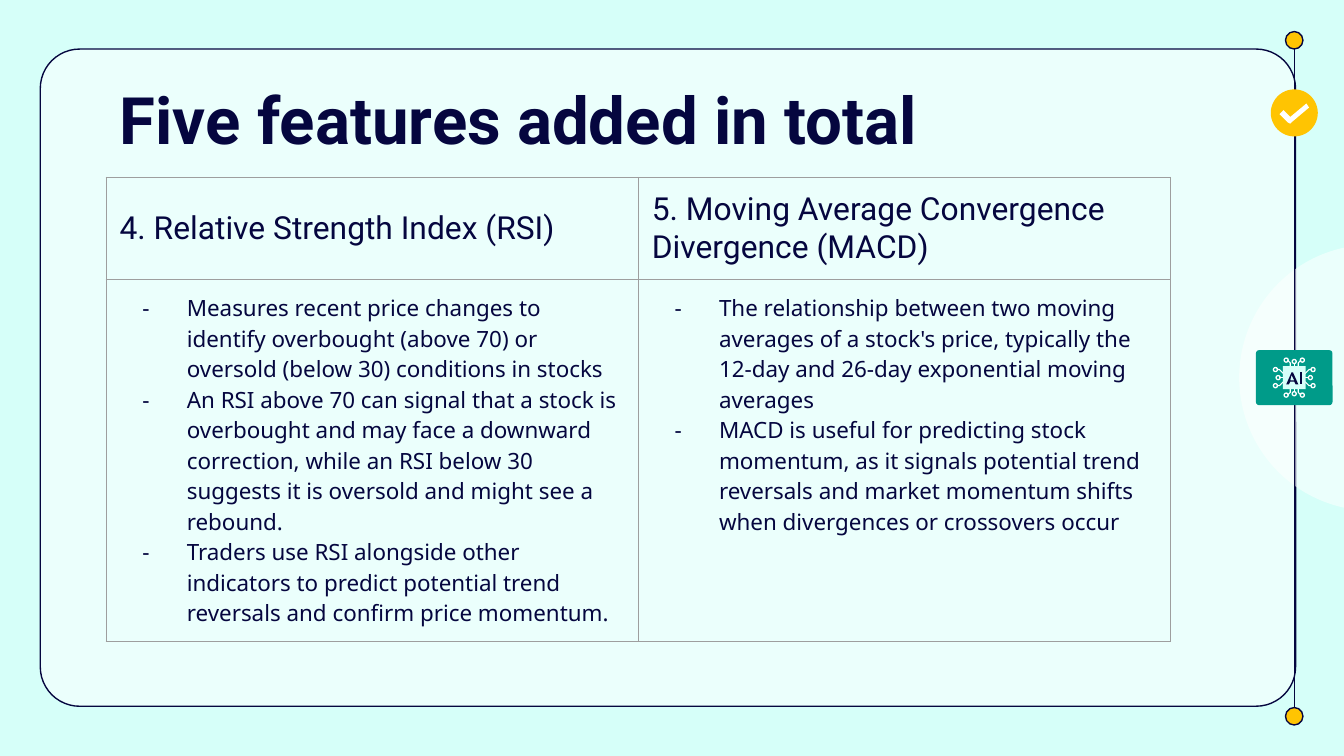
"""Build the slide on the RSI and MACD features."""
from itertools import product

from pptx import Presentation
from pptx.dml.color import RGBColor
from pptx.enum import shapes, text
from pptx.oxml import ns, xmlchemy
from pptx.util import Inches, Pt

NAVY = RGBColor(0x05, 0x06, 0x3F)
MINT = RGBColor(0xD6, 0xFF, 0xF9)
TEAL = RGBColor(0x00, 0x9B, 0x89)
GOLD = RGBColor(0xFF, 0xC4, 0x02)
GREY = RGBColor(0x9E, 0x9E, 0x9E)
WHITE = RGBColor(0xFF, 0xFF, 0xFF)

TITLE = "Five features added in total"
FEATURES = [
    ("4. Relative Strength Index (RSI)", [
        "Measures recent price changes to identify overbought (above 70) or "
        "oversold (below 30) conditions in stocks",
        "An RSI above 70 can signal that a stock is overbought and may face a "
        "downward correction, while an RSI below 30 suggests it is oversold "
        "and might see a rebound.",
        "Traders use RSI alongside other indicators to predict potential trend "
        "reversals and confirm price momentum.",
    ]),
    ("5. Moving Average Convergence Divergence (MACD)", [
        "The relationship between two moving averages of a stock's price, "
        "typically the 12-day and 26-day exponential moving averages",
        "MACD is useful for predicting stock momentum, as it signals potential "
        "trend reversals and market momentum shifts when divergences or "
        "crossovers occur",
    ]),
]
COL_W, ROW_HEIGHTS = 3.96, (0.76, 2.69)
RAIL_X, CHIP_Y = 9.63, 2.81
KNOBS = (0.3, 5.33)
CHECK = [(9.6, 0.92), (9.58, 0.91), (9.52, 0.85), (9.55, 0.82), (9.6, 0.87),
         (9.72, 0.77), (9.74, 0.8), (9.61, 0.91)]
LETTER_A = [(9.63, 2.84), (9.6, 2.84), (9.59, 2.86), (9.57, 2.86),
            (9.61, 2.77), (9.62, 2.77), (9.66, 2.86), (9.64, 2.86)]
A_HOLE = [(9.6, 2.83), (9.63, 2.83), (9.61, 2.79)]
LETTER_I = [(9.67, 2.77), (9.69, 2.77), (9.69, 2.86), (9.67, 2.86)]
NODES = [(0, 0.12), (0.06, 0.13), (0.12, 0), (0.14, 0.06)]
TRACES = [
    [(0, 0.11), (0, 0.08)],
    [(0.05, 0.13), (0.03, 0.11), (0.03, 0.08)],
    [(0.11, 0), (0.08, 0)],
    [(0.13, 0.06), (0.11, 0.06), (0.08, 0.03)],
]

prs = Presentation()
prs.slide_width, prs.slide_height = Inches(10), Inches(10 * 9 / 16)
s = prs.slides.add_slide(prs.slide_layouts[5])
s.background.fill.solid()
s.background.fill.fore_color.rgb = MINT


def child(parent, tag, **attrs):
    el = xmlchemy.OxmlElement(tag)
    for name, value in attrs.items():
        el.set(name, str(value))
    parent.append(el)
    return el


def paint(sp, fill=None, line=None, width=0.75, alpha=None):
    sp.shadow.inherit = False
    if fill is None:
        sp.fill.background()
    else:
        sp.fill.solid()
        sp.fill.fore_color.rgb = fill
    if alpha:
        clr = sp.element.spPr.find(ns.qn("a:solidFill"))[0]
        child(clr, "a:alpha", val=alpha * 1000)
    if line is None:
        sp.line.fill.background()
    else:
        sp.line.color.rgb = line
        sp.line.width = Pt(width)
    return sp


def centred(kind, x, y, w, h, **look):
    sp = s.shapes.add_shape(kind, Inches(x - w / 2), Inches(y - h / 2), Inches(w), Inches(h))
    return paint(sp, **look)


def outline(*contours, close=True, **look):
    scaled = [[(Inches(x), Inches(y)) for x, y in c] for c in contours]
    fb = s.shapes.build_freeform(*scaled[0][0])
    fb.add_line_segments(scaled[0][1:], close=close)
    for c in scaled[1:]:
        fb.move_to(*c[0])
        fb.add_line_segments(c[1:], close=close)
    return paint(fb.convert_to_shape(), **look)


def write(p, content, size, font, bold=False, bullet=None):
    p.alignment = text.PP_ALIGN.LEFT
    r = p.add_run()
    r.text = content
    r.font.size, r.font.name, r.font.bold = Pt(size), font, bold
    r.font.color.rgb = NAVY
    if bullet:
        pPr = p._p.get_or_add_pPr()
        pPr.set("marL", str(Inches(0.5)))
        pPr.set("indent", str(Inches(-0.33)))
        child(child(pPr, "a:buClr"), "a:srgbClr", val=NAVY)
        child(pPr, "a:buFont", typeface=font)
        child(pPr, "a:buChar", char=bullet)


def set_margins(box):
    box.margin_left = box.margin_right = box.margin_top = box.margin_bottom = Inches(0.1)


def format_cell(cell, anchor):
    set_margins(cell)
    cell.vertical_anchor = anchor
    tcPr = cell._tc.get_or_add_tcPr()
    for side in "LRTB":
        ln = child(tcPr, f"a:ln{side}", w=Pt(0.75))
        child(child(ln, "a:solidFill"), "a:srgbClr", val=GREY)
    cell.fill.background()


shape = shapes.MSO_SHAPE
panel = centred(shape.ROUNDED_RECTANGLE, 4.97, 2.81, 9.34, 4.89, fill=WHITE, line=NAVY, alpha=53)
panel.adjustments[0] = 0.06
centred(shape.OVAL, 10.21, 2.81, 1.98, 1.98, fill=WHITE, alpha=53)
for y in KNOBS:
    centred(shape.OVAL, RAIL_X, y, 0.13, 0.13, fill=GOLD, line=NAVY)
rail = s.shapes.add_connector(shapes.MSO_CONNECTOR.STRAIGHT, Inches(RAIL_X), Inches(0.36),
                              Inches(RAIL_X), Inches(5.27))
rail.line.color.rgb = NAVY
rail.line.width = Pt(0.75)
child(rail.element.spPr, "a:effectLst")

card = centred(shape.ROUNDED_RECTANGLE, RAIL_X, CHIP_Y, 0.57, 0.41, fill=TEAL)
card.adjustments[0] = 0.06
for (x, y), trace in zip(NODES, TRACES):
    for sx, sy in product((1, -1) if x else (1,), (1, -1) if y else (1,)):
        ring = centred(shape.DONUT, RAIL_X + sx * x, CHIP_Y + sy * y, 0.04, 0.04, fill=WHITE)
        ring.adjustments[0] = 0.25
        outline([(RAIL_X + sx * a, CHIP_Y + sy * b) for a, b in trace],
                close=False, line=WHITE, width=0.6)
centred(shape.RECTANGLE, RAIL_X, CHIP_Y, 0.17, 0.17, fill=MINT)
outline(LETTER_A, A_HOLE, fill=NAVY)
outline(LETTER_I, fill=NAVY)
centred(shape.OVAL, RAIL_X, 0.84, 0.35, 0.35, fill=GOLD)
outline(CHECK, fill=WHITE)

title = s.shapes.title
title.element.getparent().append(title.element)
title.left, title.top, title.width, title.height = map(Inches, (0.79, 0.49, 8.43, 0.63))
tf = title.text_frame
set_margins(tf)
tf.word_wrap = True
tf.auto_size = text.MSO_AUTO_SIZE.NONE
tf.vertical_anchor = text.MSO_ANCHOR.TOP
write(tf.paragraphs[0], TITLE, size=35, font="Roboto", bold=True)

table = s.shapes.add_table(2, len(FEATURES), Inches(0.79), Inches(1.32),
                           Inches(COL_W * len(FEATURES)), Inches(sum(ROW_HEIGHTS))).table
table.first_row = table.horz_banding = False
for row, height in zip(table.rows, ROW_HEIGHTS):
    row.height = Inches(height)
for i, (heading, points) in enumerate(FEATURES):
    table.columns[i].width = Inches(COL_W)
    head, body = table.cell(0, i), table.cell(1, i)
    format_cell(head, text.MSO_ANCHOR.MIDDLE)
    format_cell(body, text.MSO_ANCHOR.TOP)
    write(head.text_frame.paragraphs[0], heading, size=17, font="Roboto")
    tf = body.text_frame
    for n, point in enumerate(points):
        p = tf.add_paragraph() if n else tf.paragraphs[0]
        write(p, point, size=12, font="Noto Sans", bullet="-")

prs.save("out.pptx")
